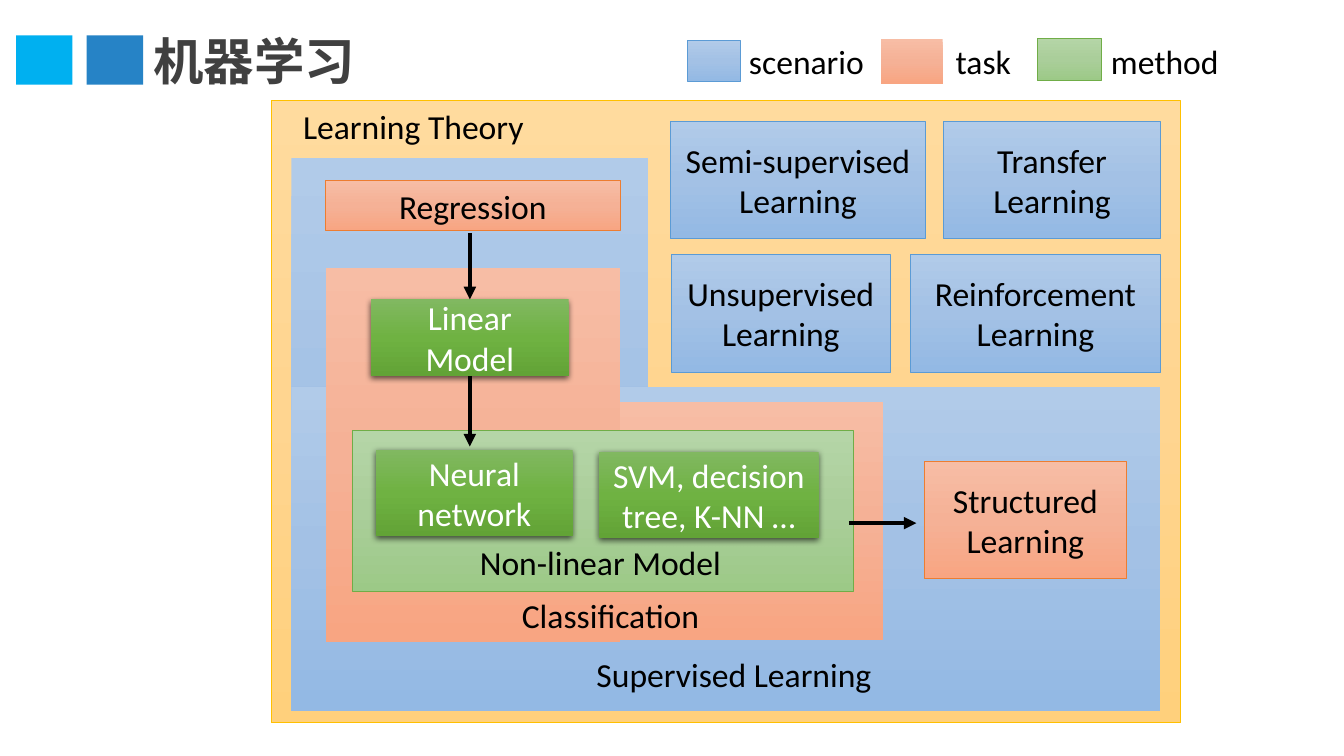
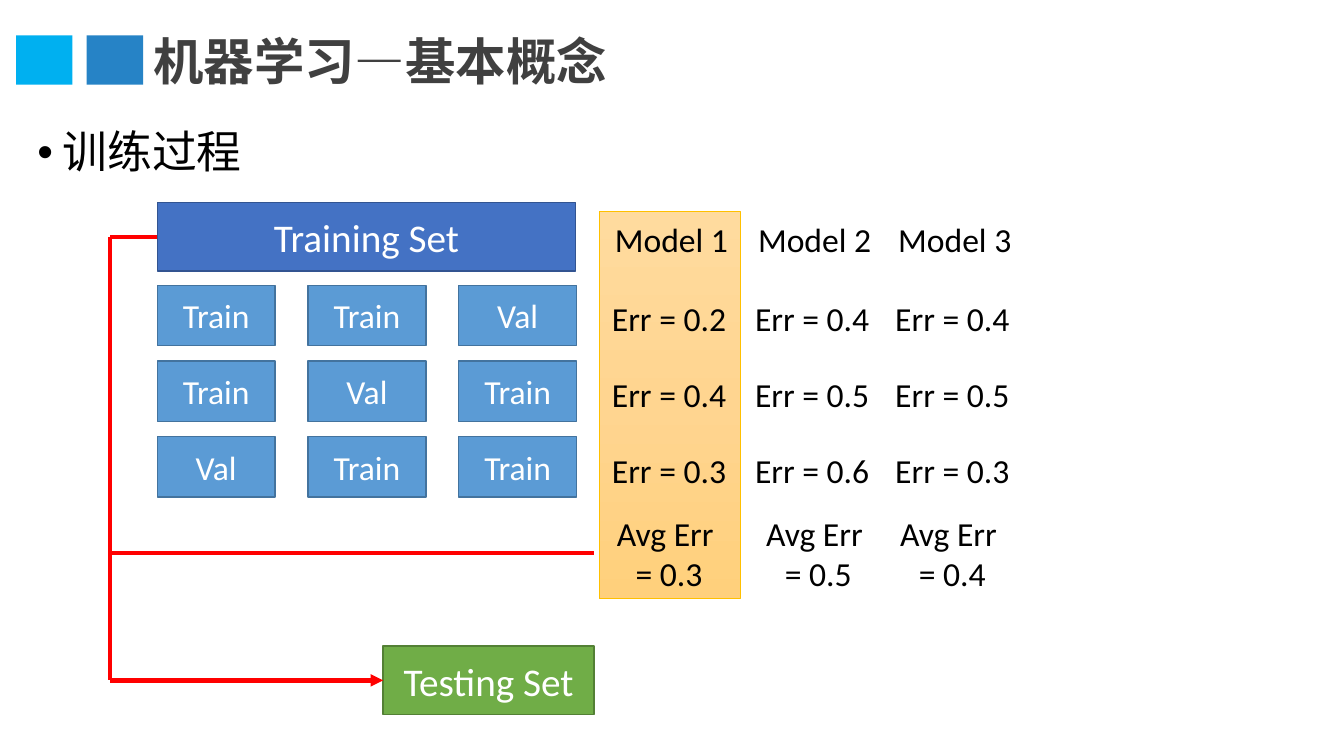
from copy import deepcopy
from dataclasses import dataclass

from lxml import etree
from pptx import Presentation, util as u
from pptx.dml.color import RGBColor
from pptx.enum import shapes, text
from pptx.oxml.ns import qn


@dataclass(frozen=True)
class Theme:
    ink: str = "000000"
    paper: str = "FFFFFF"
    title: str = "404040"
    flow: str = "FF0000"
    bands: tuple = ("00B0F0", "2683C6")
    # Each style is (fill, outline); a tuple of colours is a downward gradient
    theory: tuple = (("FFDB9E", "FFD590", "FFD07C"), "FFC000")
    scenario: tuple = (("B1CBE9", "A3C1E5", "93B9E4"), "5B9BD5")
    task: tuple = (("F7BDA5", "F5B196", "F8A582"), "ED7D31")
    method: tuple = (("B5D5A7", "AACE9A", "9CC987"), "70AD47")
    model: tuple = (("81B861", "6FB242", "62A336"), None)
    training: tuple = ("4472C4", "325491")
    fold: tuple = ("5B9BD5", "43739E")
    testing: tuple = ("70AD47", "538035")
    title_size: int = 36
    list_size: int = 32
    set_size: int = 28
    text_size: int = 24
    font: str = "Calibri"
    title_font: str = "Noto Sans CJK SC"
    list_font: str = "Times New Roman"


THEME = Theme()
WIDTH, HEIGHT = u.Inches(13.33), u.Inches(7.5)
COLUMNS, ROWS = 13.33, 7.5
TOP, LEFT, BOTTOM = 0, 1, 2
CENTER, START = text.PP_ALIGN.CENTER, text.PP_ALIGN.LEFT


def col(count):
    return round(WIDTH * count / COLUMNS)


def row(count):
    return round(HEIGHT * count / ROWS)


def cells(left, top, width, height):
    """Turn grid units into a slide area."""
    return col(left), row(top), col(width), row(height)


def unfilled(style):
    """The same fill without its outline."""
    return style[0], None


def format_para(para, size, color, name=THEME.font, align=START):
    para.alignment = align
    para.font.size = u.Pt(size)
    para.font.name = name
    para.font.color.rgb = RGBColor.from_string(color)


def write(shape, words, size=THEME.text_size, color=THEME.ink, align=CENTER):
    frame = shape.text_frame
    frame.word_wrap = True
    frame.text = words
    for para in frame.paragraphs:
        format_para(para, size, color, align=align)


def paint(shape, fill):
    if isinstance(fill, str):
        shape.fill.solid()
        shape.fill.fore_color.rgb = RGBColor.from_string(fill)
        return
    shape.fill.gradient()
    shape.fill.gradient_angle = 270
    stop_list = shape.element.spPr.find(".//" + qn("a:gsLst"))
    stop_list.insert(1, deepcopy(stop_list[0]))
    for index, (stop, color) in enumerate(zip(shape.fill.gradient_stops, fill)):
        stop.position = index / 2
        stop.color.rgb = RGBColor.from_string(color)


def add_box(page, area, style, words="", size=THEME.text_size,
            color=THEME.ink, line_width=0.5):
    fill, outline = style
    box = page.shapes.add_shape(shapes.MSO_SHAPE.RECTANGLE, *cells(*area))
    box.shadow.inherit = False
    paint(box, fill)
    if outline:
        box.line.color.rgb = RGBColor.from_string(outline)
        box.line.width = u.Pt(line_width)
    else:
        box.line.fill.background()
    if words:
        write(box, words, size, color)
        box.text_frame.vertical_anchor = text.MSO_ANCHOR.MIDDLE
    return box


def add_set(page, area, style, words, size=THEME.set_size):
    """A data set or fold: flat fill, white text, darker outline."""
    return add_box(page, area, style, words, size, THEME.paper, line_width=1)


def add_model(page, area, words):
    """A raised green box with a soft shadow below it."""
    box = add_box(page, area, THEME.model, words, color=THEME.paper)
    effects = box.element.spPr.find(qn("a:effectLst"))
    shadow = etree.SubElement(
        effects, qn("a:outerShdw"), blurRad=str(u.Pt(4.5)),
        dist=str(u.Pt(1.5)), dir="5400000", algn="ctr", rotWithShape="0")
    shade = etree.SubElement(shadow, qn("a:srgbClr"), val=THEME.ink)
    etree.SubElement(shade, qn("a:alpha"), val="63000")
    return box


def add_label(page, area, words, align=CENTER):
    write(page.shapes.add_textbox(*cells(*area)), words, align=align)


def add_line(page, start, end, color=THEME.ink, arrow=False,
             begin_at=None, end_at=None):
    """Join two grid points; begin_at and end_at are (box, side) pairs."""
    line = page.shapes.add_connector(
        shapes.MSO_CONNECTOR.STRAIGHT,
        col(start[0]), row(start[1]), col(end[0]), row(end[1]))
    if begin_at:
        line.begin_connect(*begin_at)
    if end_at:
        line.end_connect(*end_at)
    line.line.width = u.Pt(3)
    line.line.color.rgb = RGBColor.from_string(color)
    if arrow:
        etree.SubElement(line.line._get_or_add_ln(), qn("a:tailEnd"), type="triangle")
    etree.SubElement(line.element.spPr, qn("a:effectLst"))


def move(shape, area):
    shape.left, shape.top, shape.width, shape.height = cells(*area)


def add_page(deck, layout, title, title_width):
    page = deck.slides.add_slide(deck.slide_layouts.get_by_name(layout))
    holder = page.shapes.title
    move(holder, (1.42, 0.24, title_width, 0.71))
    frame = holder.text_frame
    frame.text = title
    frame.word_wrap = False
    frame.auto_size = text.MSO_AUTO_SIZE.SHAPE_TO_FIT_TEXT
    para = frame.paragraphs[0]
    format_para(para, THEME.title_size, THEME.title, THEME.title_font)
    para.font.bold = True
    etree.SubElement(para._p.pPr.find(qn("a:defRPr")), qn("a:ea"),
                     typeface=THEME.title_font)
    for index, color in enumerate(THEME.bands):
        add_box(page, (0.16 + 0.7 * index, 0.35, 0.56, 0.49), (color, None))
    return page


def write_list(page, area, items):
    body = page.placeholders[1]
    move(body, area)
    body.text_frame.text = "\n".join(items)
    for para in body.text_frame.paragraphs:
        para.space_before = u.Pt(0)
        para.line_spacing = 0.9
        props = para._p.get_or_add_pPr()
        props.set("marL", str(u.Inches(0.25)))
        props.set("indent", str(-u.Inches(0.25)))
        etree.SubElement(props, qn("a:buFont"), typeface="Arial")
        etree.SubElement(props, qn("a:buChar"), char="•")
        format_para(para, THEME.list_size, THEME.ink, THEME.list_font)


def add_legend(page):
    for swatch, style, words, left, width in (
            ((6.82, 0.4, 0.52, 0.41), THEME.scenario, "scenario", 7.33, 1.42),
            ((8.74, 0.39, 0.61, 0.44), unfilled(THEME.task), "task", 9.38, 0.78),
            ((10.29, 0.38, 0.63, 0.42), THEME.method, "method", 10.92, 1.42)):
        add_box(page, swatch, style)
        add_label(page, (left, 0.36, width, 0.5), words, START)


def add_learning_map(deck):
    page = add_page(deck, "Title Only", "机器学习", 2.23)
    add_legend(page)

    add_box(page, (2.69, 1, 9.02, 6.17), THEME.theory)
    add_label(page, (2.89, 1, 2.42, 0.5), "Learning Theory")
    for area in ((2.89, 1.57, 3.54, 5.27), (2.89, 3.84, 8.62, 3.21)):
        add_box(page, area, unfilled(THEME.scenario))
    add_label(page, (5.42, 6.44, 3.72, 0.5), "Supervised Learning")

    for area in ((3.6, 3.99, 5.16, 2.36), (3.23, 2.66, 2.92, 3.71)):
        add_box(page, area, unfilled(THEME.task))
    add_label(page, (4.94, 5.85, 2.23, 0.5), "Classification")
    add_box(page, (3.5, 4.27, 4.96, 1.6), THEME.method)
    add_label(page, (4.57, 5.33, 2.77, 0.5), "Non-linear Model")

    for area, style, words in (
            ((3.23, 1.79, 2.92, 0.5), THEME.task, "Regression"),
            ((9.17, 4.58, 2, 1.16), THEME.task, "Structured Learning"),
            ((6.65, 1.2, 2.53, 1.17), THEME.scenario, "Semi-supervised Learning"),
            ((9.36, 1.2, 2.15, 1.17), THEME.scenario, "Transfer Learning"),
            ((6.66, 2.52, 2.17, 1.17), THEME.scenario, "Unsupervised Learning"),
            ((9.03, 2.52, 2.48, 1.17), THEME.scenario, "Reinforcement Learning")):
        add_box(page, area, style, words)

    linear = add_model(page, (3.68, 2.97, 1.96, 0.76), "Linear Model")
    add_model(page, (3.73, 4.46, 1.95, 0.86), "Neural network")
    add_model(page, (5.94, 4.48, 2.18, 0.86), "SVM, decision tree, K-NN …")
    add_line(page, (4.66, 2.31), (4.66, 2.97), arrow=True, end_at=(linear, TOP))
    add_line(page, (4.66, 3.73), (4.66, 4.43), arrow=True, begin_at=(linear, BOTTOM))
    add_line(page, (8.42, 5.19), (9.09, 5.19), arrow=True)


def add_folds(page):
    """Three rounds; the validation fold moves one column left each time."""
    for turn in range(3):
        for part in range(3):
            words = "Val" if turn + part == 2 else "Train"
            area = (1.56 + 1.495 * part, 2.83 + 0.75 * turn, 1.17, 0.6)
            add_set(page, area, THEME.fold, words, THEME.text_size)


def add_errors(page):
    add_box(page, (5.94, 2.1, 1.4, 3.84), THEME.theory)
    models = (
        (5.89, 5.89, ("0.2", "0.4", "0.3"), "0.3"),
        (7.31, 7.37, ("0.4", "0.5", "0.6"), "0.5"),
        (8.7, 8.7, ("0.4", "0.5", "0.3"), "0.4"))
    for number, (left, average_left, errors, average) in enumerate(models, 1):
        add_label(page, (left + 0.11, 2.12, 1.38, 0.5), f"Model {number}", START)
        for turn, error in enumerate(errors):
            add_label(page, (left, 2.91 + 0.75 * turn, 1.49, 0.5), f"Err = {error}")
        add_label(page, (average_left, 5.04, 1.49, 0.91), f"Avg Err \n= {average}")


def add_training_process(deck):
    page = add_page(deck, "Title and Content", "机器学习—基本概念", 4.76)
    write_list(page, (0.27, 1.24, 12.75, 5.24), ["训练过程"])
    add_errors(page)
    training = add_set(page, (1.56, 2.01, 4.15, 0.68), THEME.training, "Training Set")
    add_folds(page)
    testing = add_set(page, (3.8, 6.41, 2.09, 0.68), THEME.testing, "Testing Set")

    rail, start, chosen, end = 1.09, 2.35, 5.49, 6.75
    add_line(page, (rail, start), (rail, end), THEME.flow)
    add_line(page, (5.89, chosen), (rail, chosen), THEME.flow)
    add_line(page, (1.56, start), (rail, start), THEME.flow, begin_at=(training, LEFT))
    add_line(page, (rail, end), (3.8, end), THEME.flow, arrow=True,
             end_at=(testing, LEFT))


def main():
    deck = Presentation()
    deck.slide_width, deck.slide_height = WIDTH, HEIGHT
    add_learning_map(deck)
    add_training_process(deck)
    deck.save("out.pptx")


if __name__ == "__main__":
    main()
